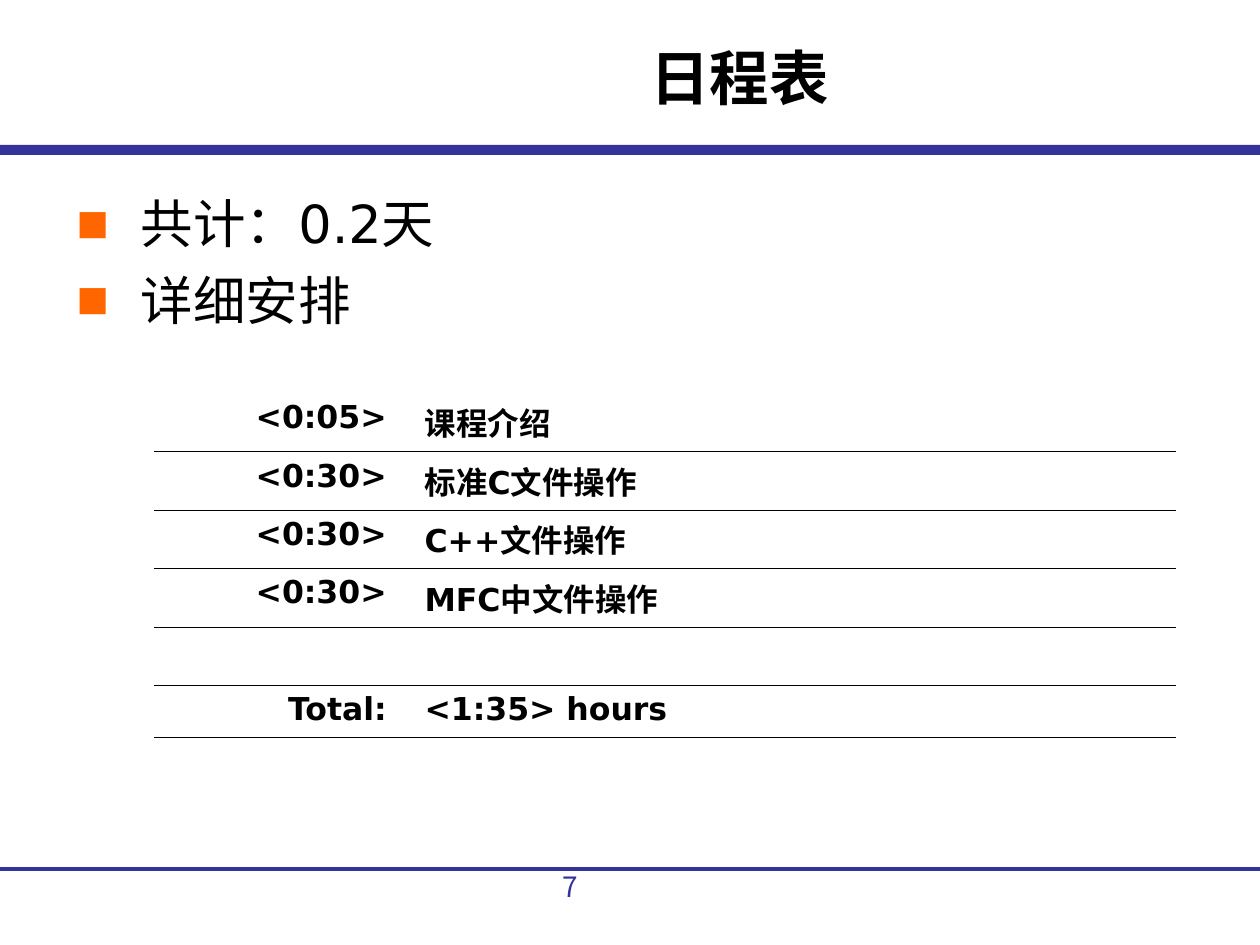
from lxml import etree
from pptx import Presentation
from pptx.dml.color import RGBColor
from pptx.enum import shapes, text
from pptx.oxml.ns import qn
from pptx.util import Inches, Pt

NAVY = RGBColor(0x33, 0x33, 0x99)
BLACK = RGBColor(0, 0, 0)
BULLET_ORANGE = "FF6600"
LATIN_FONT = "DejaVu Sans"
CJK_FONT = "Noto Sans CJK SC"
NO_GRID_STYLE = "{2D5ABB26-0587-4C30-8999-92F81FD0307C}"

AGENDA = ["共计：0.2天", "详细安排"]
SCHEDULE = [
    ("<0:05>", "课程介绍"),
    ("<0:30>", "标准C文件操作"),
    ("<0:30>", "C++文件操作"),
    ("<0:30>", "MFC中文件操作"),
    ("", ""),
    ("Total:", "<1:35> hours"),
]
COLUMN_WIDTHS = [2.05, 6.06]
LESSONS_HEIGHT, TOTAL_HEIGHT = 2.32, 0.41


def add_element(parent, tag, **attributes):
    return etree.SubElement(parent, qn(tag), attributes)


def add_run(paragraph, words, size, color=BLACK, bold=False, font=LATIN_FONT):
    run = paragraph.add_run()
    run.text = words
    run.font.size = Pt(size)
    run.font.bold = bold
    run.font.color.rgb = color
    run.font.name = font
    add_element(run.font._element, "a:ea", typeface=CJK_FONT)


def add_text_frame(slide, left, top, width, height):
    box = slide.shapes.add_textbox(
        Inches(left), Inches(top), Inches(width), Inches(height))
    frame = box.text_frame
    frame.word_wrap = True
    return frame


def add_rules(slide):
    """Draw the band under the title and the line above the page number."""
    band = slide.shapes.add_shape(
        shapes.MSO_SHAPE.RECTANGLE, 0, Inches(1.15), Inches(10), Inches(0.08))
    band.shadow.inherit = False
    band.fill.solid()
    band.fill.fore_color.rgb = NAVY
    band.line.fill.background()

    footer = slide.shapes.add_connector(
        shapes.MSO_CONNECTOR.STRAIGHT, 0, Inches(6.9), Inches(10), Inches(6.9))
    footer.line.color.rgb = NAVY
    footer.line.width = Pt(2.25)
    add_element(footer._element.spPr, "a:effectLst")


def set_bullet(paragraph):
    properties = paragraph._p.get_or_add_pPr()
    properties.set("marL", str(Inches(0.51)))
    properties.set("indent", str(-Inches(0.51)))
    color = add_element(properties, "a:buClr")
    add_element(color, "a:srgbClr", val=BULLET_ORANGE)
    add_element(properties, "a:buSzPct", val="65000")
    add_element(properties, "a:buFont", typeface=LATIN_FONT)
    add_element(properties, "a:buChar", char="■")


def add_agenda(slide):
    frame = add_text_frame(slide, 0.51, 1.47, 8.75, 5.12)
    for index, item in enumerate(AGENDA):
        paragraph = frame.add_paragraph() if index else frame.paragraphs[0]
        paragraph.space_before = Pt(7.5)
        set_bullet(paragraph)
        add_run(paragraph, item, 30)


def underline_cell(cell):
    """Give the cell a thin bottom border and no fill."""
    properties = cell._tc.get_or_add_tcPr()
    border = add_element(properties, "a:lnB", w=str(Pt(0.45)))
    fill = add_element(border, "a:solidFill")
    add_element(fill, "a:srgbClr", val=str(BLACK))
    cell.fill.background()


def fill_cell(cell, words, alignment):
    cell.margin_right = Inches(0.2)
    underline_cell(cell)
    paragraph = cell.text_frame.paragraphs[0]
    paragraph.alignment = alignment
    paragraph.space_before = Pt(4.5)
    if words:
        add_run(paragraph, words, 18, bold=True)


def add_schedule(slide):
    lessons = len(SCHEDULE) - 1
    heights = [LESSONS_HEIGHT / lessons] * lessons + [TOTAL_HEIGHT]
    table = slide.shapes.add_table(
        len(SCHEDULE), len(COLUMN_WIDTHS), Inches(1.22), Inches(3.12),
        Inches(sum(COLUMN_WIDTHS)), Inches(sum(heights))).table
    table.first_row = table.horz_banding = False
    table._tbl.tblPr.find(qn("a:tableStyleId")).text = NO_GRID_STYLE
    for column, width in zip(table.columns, COLUMN_WIDTHS):
        column.width = Inches(width)
    for row, height, (time, topic) in zip(table.rows, heights, SCHEDULE):
        row.height = Inches(height)
        fill_cell(row.cells[0], time, text.PP_ALIGN.RIGHT)
        fill_cell(row.cells[1], topic, text.PP_ALIGN.LEFT)


def add_title(slide):
    frame = add_text_frame(slide, 2.01, 0.28, 7.72, 0.71)
    paragraph = frame.paragraphs[0]
    paragraph.alignment = text.PP_ALIGN.CENTER
    add_run(paragraph, "日程表", 34, bold=True)


def add_page_number(slide):
    frame = add_text_frame(slide, 4.37, 6.85, 1.1, 0.52)
    add_run(frame.paragraphs[0], "7", 16, NAVY, font=CJK_FONT)


def main():
    deck = Presentation()
    deck.slide_width, deck.slide_height = Inches(10), Inches(7.5)
    slide = deck.slides.add_slide(deck.slide_layouts[6])
    add_rules(slide)
    add_agenda(slide)
    add_schedule(slide)
    add_title(slide)
    add_page_number(slide)
    deck.save("out.pptx")


if __name__ == "__main__":
    main()
